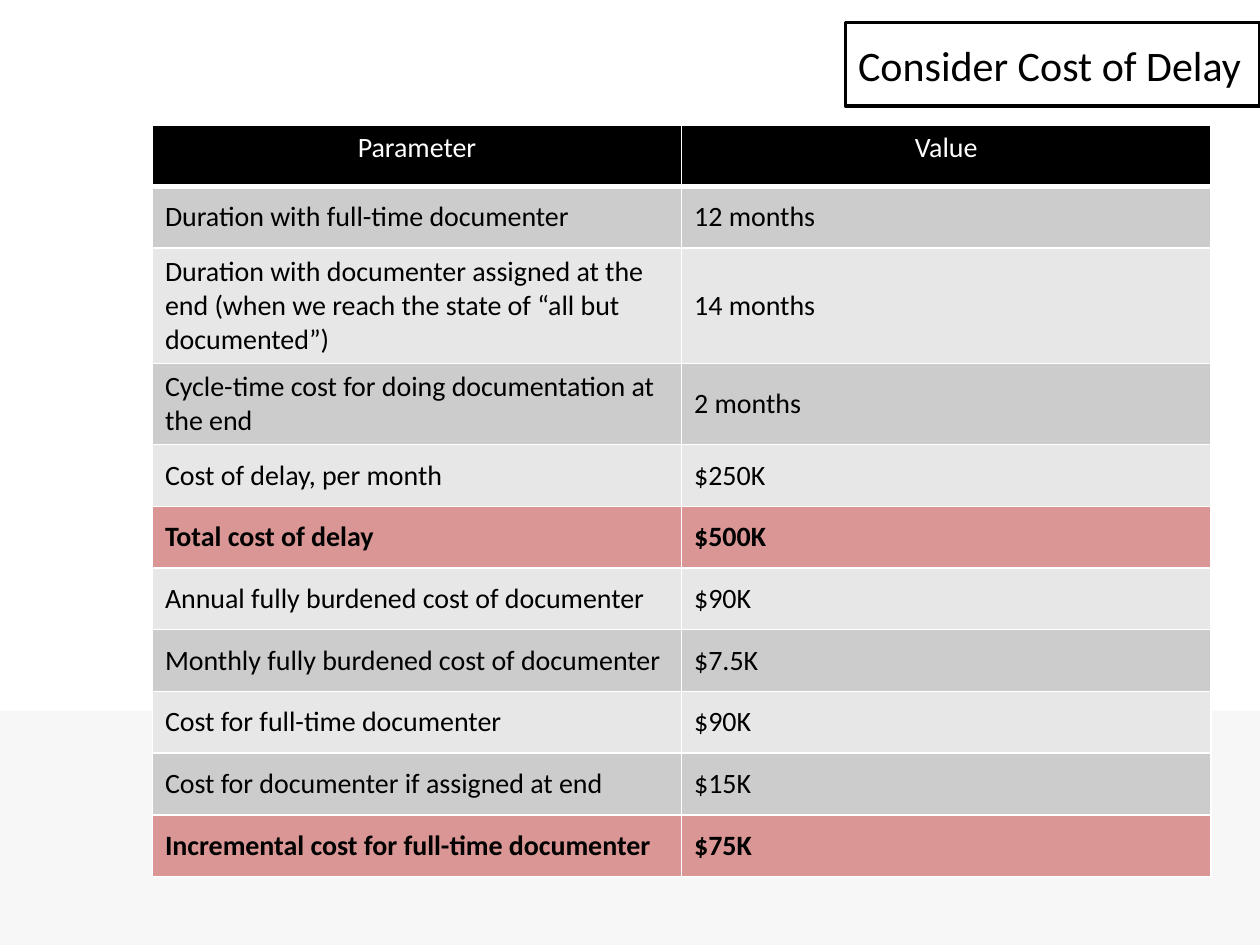
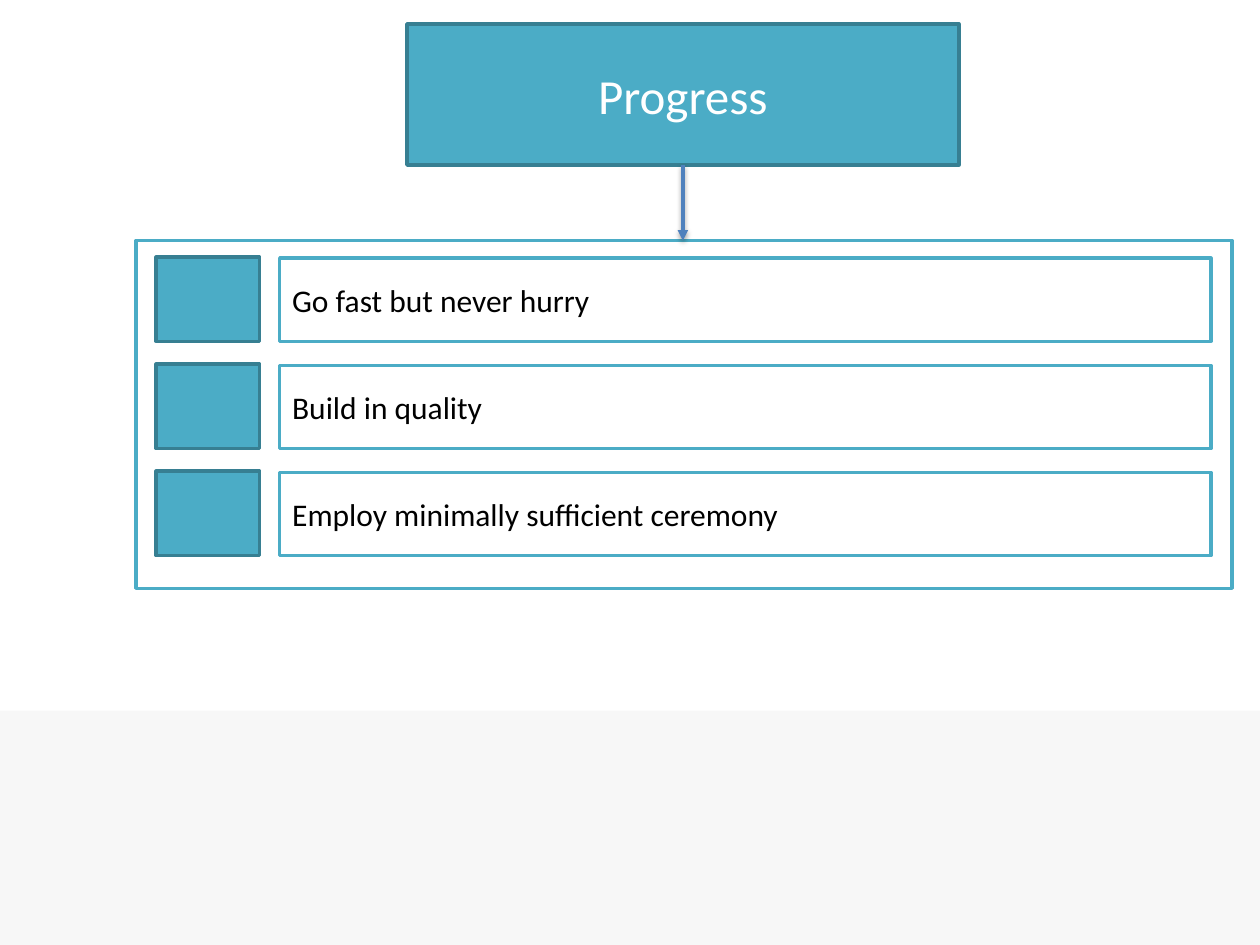
import pptx
import pptx.chart.data
import pptx.dml.color
import pptx.enum.shapes
import pptx.enum.text
import pptx.oxml
import pptx.oxml.ns
import pptx.util

Inches = pptx.util.Inches
Pt = pptx.util.Pt
ALIGN = pptx.enum.text.PP_ALIGN
MIDDLE = pptx.enum.text.MSO_ANCHOR.MIDDLE
RECTANGLE = pptx.enum.shapes.MSO_SHAPE.RECTANGLE
FONT = "Calibri"
COLORS = {
    name: pptx.dml.color.RGBColor.from_string(value)
    for name, value in {
        "white": "FFFFFF",
        "black": "000000",
        "band": "F7F7F7",
        "row_dark": "CCCCCC",
        "row_light": "E7E7E7",
        "total": "D99694",
        "teal": "4BACC6",
        "teal_dark": "377F92",
        "arrow": "4F81BD",
    }.items()
}


def style_box(shape, box, fill, line=None):
    shape.left, shape.top, shape.width, shape.height = [Inches(value) for value in box]
    shape.fill.solid()
    shape.fill.fore_color.rgb = COLORS[fill]
    if line:
        shape.line.color.rgb = COLORS[line]
        shape.line.width = Pt(2)
    else:
        shape.line.fill.background()
    if not shape.is_placeholder:
        shape.shadow.inherit = False


def write_text(text_frame, text, size, color, align=ALIGN.LEFT, bold=False):
    text_frame.text = text
    text_frame.word_wrap = True
    paragraph = text_frame.paragraphs[0]
    paragraph.alignment = align
    font = paragraph.runs[0].font
    font.name = FONT
    font.size = Pt(size)
    font.bold = bold
    font.color.rgb = COLORS[color]


presentation = pptx.Presentation()
presentation.slide_width = Inches(10)
presentation.slide_height = Inches(7.5)
title_only = presentation.slide_layouts[5]

titles = [
    ("Consider Cost of Delay", (6.71, 0.18, 3.29, 0.66), "white", "black", 24, "black", ALIGN.LEFT),
    ("Progress", (3.23, 0.19, 4.38, 1.12), "teal", "teal_dark", 28, "white", ALIGN.CENTER),
]
slides = []
for text, box, fill, line, size, color, align in titles:
    slide = presentation.slides.add_slide(title_only)
    title = slide.shapes.title
    style_box(title, box, fill, line)
    write_text(title.text_frame, text, size, color, align)
    title.text_frame.auto_size = pptx.enum.text.MSO_AUTO_SIZE.NONE
    title.text_frame.vertical_anchor = MIDDLE
    slides.append(slide)
cost_slide, progress_slide = slides

band = cost_slide.shapes.add_shape(RECTANGLE, 0, 0, 0, 0)
style_box(band, (0, 5.64, 10, 1.86), "band")
presentation.slide_master.shapes[0].element.addprevious(band.element)

cost_rows = [
    ("Parameter", "Value"),
    ("Duration with full-time documenter", "12 months"),
    ("Duration with documenter assigned at the end (when we reach the state of “all but documented”)", "14 months"),
    ("Cycle-time cost for doing documentation at the end", "2 months"),
    ("Cost of delay, per month", "$250K"),
    ("Total cost of delay", "$500K"),
    ("Annual fully burdened cost of documenter", "$90K"),
    ("Monthly fully burdened cost of documenter", "$7.5K"),
    ("Cost for full-time documenter", "$90K"),
    ("Cost for documenter if assigned at end", "$15K"),
    ("Incremental cost for full-time documenter", "$75K"),
]
total_rows = (5, 10)
table = cost_slide.shapes.add_table(
    len(cost_rows), 2, Inches(1.21), Inches(0.99), Inches(8.4), Inches(0.49 * len(cost_rows))
).table
for row_index, values in enumerate(cost_rows):
    table.rows[row_index].height = Inches(0.49)
    is_header = row_index == 0
    is_total = row_index in total_rows
    if is_header:
        fill = "black"
    elif is_total:
        fill = "total"
    else:
        fill = "row_dark" if row_index % 2 else "row_light"
    for column_index, value in enumerate(values):
        cell = table.cell(row_index, column_index)
        cell_properties = cell._tc.get_or_add_tcPr()
        for side in "LRTB":
            width = Pt(3 if is_header and side == "B" else 1)
            cell_properties.append(pptx.oxml.parse_xml(
                f'<a:ln{side} {pptx.oxml.ns.nsdecls("a")} w="{width}"><a:solidFill>'
                f'<a:srgbClr val="{COLORS["white"]}"/></a:solidFill></a:ln{side}>'
            ))
        cell.fill.solid()
        cell.fill.fore_color.rgb = COLORS[fill]
        if is_header:
            write_text(cell.text_frame, value, 16, "white", ALIGN.CENTER)
        else:
            write_text(cell.text_frame, value, 16, "black", bold=is_total)
            cell.vertical_anchor = MIDDLE

frame = progress_slide.shapes.add_shape(RECTANGLE, 0, 0, 0, 0)
style_box(frame, (1.08, 1.91, 8.7, 2.76), "white", "teal")

arrow = progress_slide.shapes.add_connector(
    pptx.enum.shapes.MSO_CONNECTOR.STRAIGHT, Inches(5.42), Inches(1.31), Inches(5.42), Inches(1.91)
)
arrow.line.color.rgb = COLORS["arrow"]
arrow.line.width = Pt(2)
arrow.line._get_or_add_ln().append(
    pptx.oxml.parse_xml(f'<a:tailEnd {pptx.oxml.ns.nsdecls("a")} type="triangle"/>')
)
arrow.element.spPr.append(pptx.oxml.parse_xml(
    f'<a:effectLst {pptx.oxml.ns.nsdecls("a")}>'
    f'<a:outerShdw blurRad="{Pt(3.1)}" dist="{Pt(1.6)}" dir="5400000" rotWithShape="0">'
    f'<a:srgbClr val="{COLORS["black"]}"><a:alpha val="38000"/></a:srgbClr>'
    '</a:outerShdw></a:effectLst>'
))

principles = ["Go fast but never hurry", "Build in quality", "Employ minimally sufficient ceremony"]
for index, principle in enumerate(principles):
    top = 2.05 + 0.85 * index
    principle_box = progress_slide.shapes.add_shape(RECTANGLE, 0, 0, 0, 0)
    style_box(principle_box, (2.22, top, 7.39, 0.66), "white", "teal")
    write_text(principle_box.text_frame, principle, 18, "black")
    principle_box.text_frame.vertical_anchor = MIDDLE
    marker = progress_slide.shapes.add_shape(RECTANGLE, 0, 0, 0, 0)
    style_box(marker, (1.24, top - 0.01, 0.82, 0.67), "teal", "teal_dark")

presentation.save("out.pptx")
